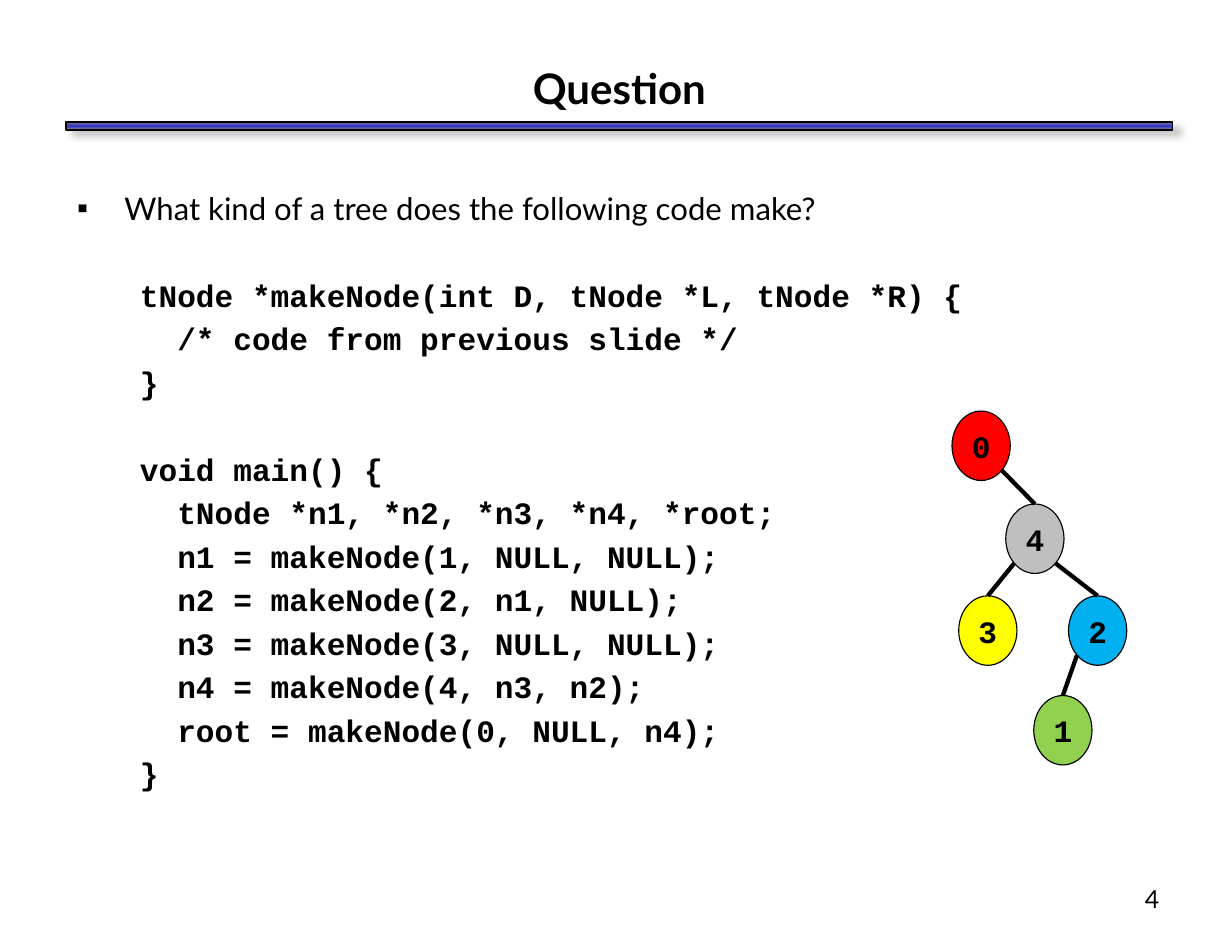
from copy import deepcopy
from dataclasses import dataclass
from math import sqrt

from lxml import etree
from pptx import Presentation
from pptx.dml.color import RGBColor
from pptx.enum.shapes import MSO_CONNECTOR, MSO_SHAPE
from pptx.enum.text import MSO_ANCHOR, PP_ALIGN
from pptx.oxml.ns import qn
from pptx.util import Inches, Pt

STRAIGHT = MSO_CONNECTOR.STRAIGHT
OVAL, RECTANGLE = MSO_SHAPE.OVAL, MSO_SHAPE.RECTANGLE
MIDDLE, TOP = MSO_ANCHOR.MIDDLE, MSO_ANCHOR.TOP
CENTER, RIGHT = PP_ALIGN.CENTER, PP_ALIGN.RIGHT


@dataclass(frozen=True)
class Theme:
    text_font: str = "Lato"
    code_font: str = "Courier New"
    bullet_font: str = "Arial"
    title_size: float = 27
    body_size: float = 20
    number_size: float = 16
    line_gap: float = 3.9
    section_gap: float = 32
    black: str = "000000"
    rule_edge: str = "808080"
    rule_middle: str = "3333CC"
    rule_shadow: str = "B2B2B2"


@dataclass(frozen=True)
class Node:
    label: str
    left: float
    top: float
    color: str


@dataclass(frozen=True)
class Edge:
    parent: str
    child: str
    side: int  # -1 leaves the parent at lower left, 1 at lower right


THEME = Theme()
NODE_WIDTH, NODE_HEIGHT = 0.52, 0.62

NODES = [
    Node("0", 8.5, 3.67, "FF0000"),
    Node("4", 8.98, 4.5, "BFBFBF"),
    Node("3", 8.56, 5.32, "FFFF00"),
    Node("2", 9.54, 5.32, "00B0F0"),
    Node("1", 9.23, 6.21, "92D050"),
]
EDGES = [Edge("0", "4", 1), Edge("4", "3", -1), Edge("4", "2", 1), Edge("2", "1", -1)]

QUESTION = "What kind of a tree does the following code make?"
CODE_SECTIONS = [
    """tNode *makeNode(int D, tNode *L, tNode *R) {
  /* code from previous slide */
}""",
    """void main() {
  tNode *n1, *n2, *n3, *n4, *root;
  n1 = makeNode(1, NULL, NULL);
  n2 = makeNode(2, n1, NULL);
  n3 = makeNode(3, NULL, NULL);
  n4 = makeNode(4, n3, n2);
  root = makeNode(0, NULL, n4);
}""",
]


def rgb(color: str) -> RGBColor:
    return RGBColor.from_string(color)


def set_text(paragraph, text: str, font: str, size: float, bold: bool = False) -> None:
    paragraph.text = text
    paragraph.font.name = font
    paragraph.font.size = Pt(size)
    paragraph.font.bold = bold
    paragraph.font.color.rgb = rgb(THEME.black)


def add_text_frame(slide, left: float, top: float, width: float, height: float,
                   anchor=TOP, top_margin: float = 0.06):
    box = slide.shapes.add_textbox(Inches(left), Inches(top), Inches(width), Inches(height))
    frame = box.text_frame
    frame.word_wrap = True
    frame.vertical_anchor = anchor
    frame.margin_left = frame.margin_right = Inches(0.11)
    frame.margin_top, frame.margin_bottom = Inches(top_margin), Inches(0.06)
    return frame


def indent(paragraph, margin: float, first_line: float = 0, bullet: str = "") -> None:
    properties = paragraph._p.get_or_add_pPr()
    properties.set("marL", str(Inches(margin)))
    properties.set("indent", str(Inches(first_line)))
    if bullet:
        etree.SubElement(properties, qn("a:buFont"), typeface=THEME.bullet_font)
        etree.SubElement(properties, qn("a:buChar"), char=bullet)


def add_rule(slide) -> None:
    rule = slide.shapes.add_shape(RECTANGLE, Inches(0.59), Inches(1.09), Inches(9.88), Inches(0.07))
    rule.line.color.rgb = rgb(THEME.black)
    rule.line.width = Pt(1)

    # Three-stop gradient
    rule.fill.gradient()
    rule.fill.gradient_angle = 90
    stop_list = rule._element.spPr.find(".//" + qn("a:gsLst"))
    stop_list.insert(1, deepcopy(stop_list[0]))
    colors = [THEME.rule_edge, THEME.rule_middle, THEME.rule_edge]
    for index, (stop, color) in enumerate(zip(rule.fill.gradient_stops, colors)):
        stop.position = index / 2
        stop.color.rgb = rgb(color)

    # Soft shadow
    rule.shadow.inherit = False
    effects = rule._element.spPr.find(qn("a:effectLst"))
    shadow = etree.SubElement(effects, qn("a:outerShdw"), blurRad=str(Pt(5)), dist=str(Pt(5)),
                              dir=str(37 * 60000), algn="ctr", rotWithShape="0")
    shadow_color = etree.SubElement(shadow, qn("a:srgbClr"), val=THEME.rule_shadow)
    etree.SubElement(shadow_color, qn("a:alpha"), val="75000")


def add_body(slide) -> None:
    frame = add_text_frame(slide, 0.58, 1.25, 9.87, 6.5, top_margin=0.44)
    question = frame.paragraphs[0]
    indent(question, 0.42, -0.42, "▪")
    set_text(question, QUESTION, THEME.text_font, THEME.body_size)
    for section in CODE_SECTIONS:
        for index, line in enumerate(section.splitlines()):
            paragraph = frame.add_paragraph()
            paragraph.level = 1
            paragraph.space_before = Pt(THEME.line_gap if index else THEME.section_gap)
            indent(paragraph, 0.56)
            set_text(paragraph, line, THEME.code_font, THEME.body_size, bold=True)


def add_node(slide, node: Node):
    shape = slide.shapes.add_shape(OVAL, Inches(node.left), Inches(node.top),
                                   Inches(NODE_WIDTH), Inches(NODE_HEIGHT))
    shape.shadow.inherit = False
    shape.fill.solid()
    shape.fill.fore_color.rgb = rgb(node.color)
    shape.line.color.rgb = rgb(THEME.black)
    shape.line.width = Pt(0.75)
    shape.text_frame.word_wrap = False
    paragraph = shape.text_frame.paragraphs[0]
    paragraph.alignment = CENTER
    set_text(paragraph, node.label, THEME.code_font, THEME.body_size, bold=True)
    return shape


def add_edge(slide, parent: Node, child: Node, side: int, child_shape) -> None:
    start_x = parent.left + NODE_WIDTH / 2 * (1 + side / sqrt(2))
    start_y = parent.top + NODE_HEIGHT / 2 * (1 + 1 / sqrt(2))
    connector = slide.shapes.add_connector(
        STRAIGHT, Inches(start_x), Inches(start_y),
        Inches(child.left + NODE_WIDTH / 2), Inches(child.top))
    connector.end_connect(child_shape, 0)
    connector.line.color.rgb = rgb(THEME.black)
    connector.line.width = Pt(2.75)
    etree.SubElement(connector._element.spPr, qn("a:effectLst"))


def main() -> None:
    presentation = Presentation()
    presentation.slide_width, presentation.slide_height = Inches(11), Inches(8.5)
    slide = presentation.slides.add_slide(presentation.slide_layouts[6])

    # Title, rule and body
    add_rule(slide)
    add_body(slide)
    title = add_text_frame(slide, 0.58, 0.5, 9.9, 0.57, MIDDLE).paragraphs[0]
    title.alignment = CENTER
    set_text(title, "Question", THEME.text_font, THEME.title_size, bold=True)

    # Slide number
    number = add_text_frame(slide, 8.17, 7.83, 2.29, 0.57).paragraphs[0]
    number.alignment = RIGHT
    set_text(number, "4", THEME.text_font, THEME.number_size)

    # Tree
    nodes = {node.label: node for node in NODES}
    shapes = {node.label: add_node(slide, node) for node in NODES}
    for edge in EDGES:
        add_edge(slide, nodes[edge.parent], nodes[edge.child], edge.side, shapes[edge.child])

    presentation.save("out.pptx")


if __name__ == "__main__":
    main()
